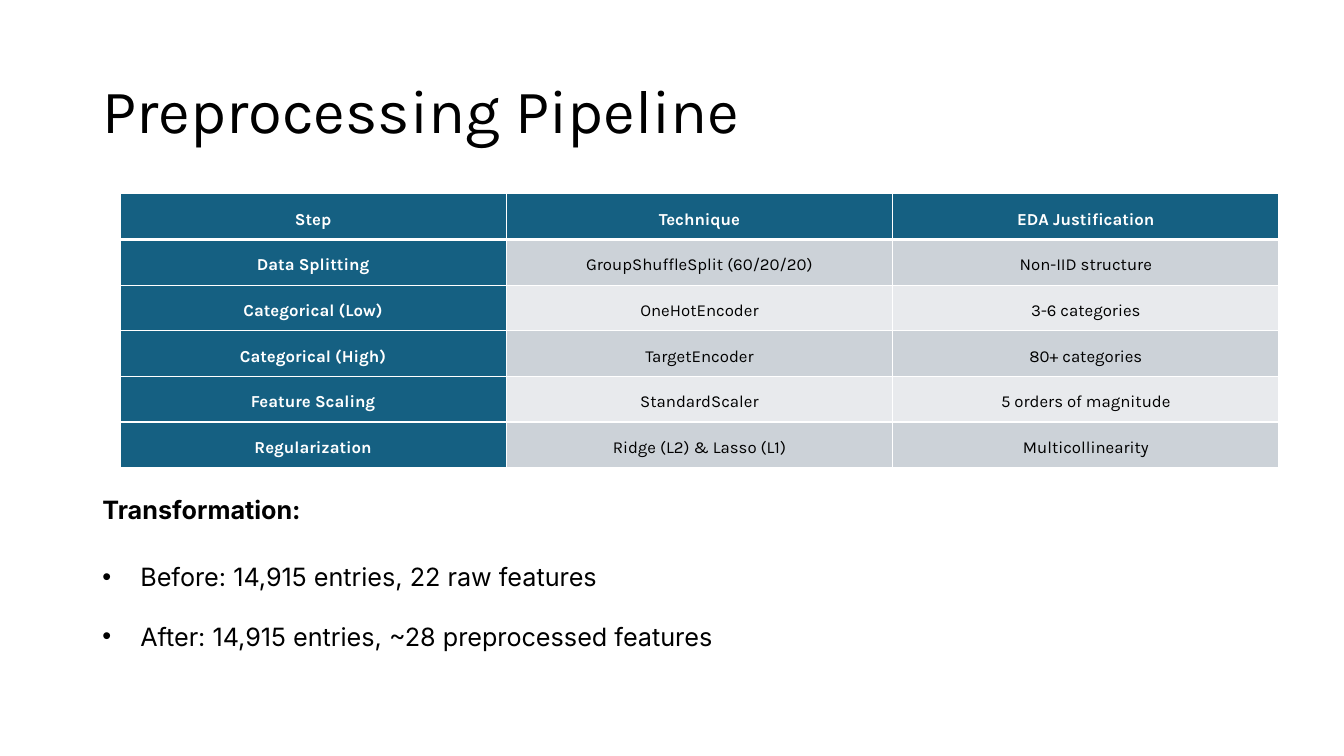
from dataclasses import dataclass

from lxml import etree
from pptx import Presentation
from pptx.dml.color import RGBColor
from pptx.enum.text import MSO_ANCHOR, MSO_AUTO_SIZE, PP_ALIGN
from pptx.oxml.ns import qn
from pptx.util import Pt

LEFT, CENTER = PP_ALIGN.LEFT, PP_ALIGN.CENTER
TOP, MIDDLE = MSO_ANCHOR.TOP, MSO_ANCHOR.MIDDLE
NO_AUTOFIT, GROW = MSO_AUTO_SIZE.NONE, MSO_AUTO_SIZE.SHAPE_TO_FIT_TEXT


@dataclass(frozen=True)
class Theme:
    ink: str = "000000"
    white: str = "FFFFFF"
    header: str = "156082"
    bands: tuple[str, str] = ("CCD2D8", "E8EAED")
    heading_font: str = "Karla"
    body_font: str = "Inter"
    title_size: float = 44
    body_size: float = 18
    table_size: float = 12
    border: float = 1
    header_border: float = 3


@dataclass(frozen=True)
class Box:
    left: float
    top: float
    width: float
    height: float


@dataclass(frozen=True)
class Step:
    name: str
    technique: str
    justification: str


THEME = Theme()
TITLE_BOX = Box(66, 28.8, 828, 104.4)
BODY_BOX = Box(66, 338.4, 480, 128.2)
TABLE_BOX = Box(85.7, 138.5, 828, 195.6)
CELL_MARGIN_X, CELL_MARGIN_Y = 8, 4.3
BULLET_INDENT = 27

STEPS = [
    Step("Step", "Technique", "EDA Justification"),
    Step("Data Splitting", "GroupShuffleSplit (60/20/20)", "Non-IID structure"),
    Step("Categorical (Low)", "OneHotEncoder", "3-6 categories"),
    Step("Categorical (High)", "TargetEncoder", "80+ categories"),
    Step("Feature Scaling", "StandardScaler", "5 orders of magnitude"),
    Step("Regularization", "Ridge (L2) & Lasso (L1)", "Multicollinearity"),
]
TRANSFORMATIONS = [
    "Before: 14,915 entries, 22 raw features",
    "After: 14,915 entries, ~28 preprocessed features",
]


def write(paragraph, text: str, *, font: str, size: float, color: str = THEME.ink,
          bold: bool = False, align=LEFT, line_spacing: float = 1.5,
          before: float = 0, after: float = 0) -> None:
    paragraph.alignment = align
    paragraph.line_spacing = line_spacing
    paragraph.space_before = Pt(before)
    paragraph.space_after = Pt(after)
    run = paragraph.add_run()
    run.text = text
    run.font.name = font
    run.font.size = Pt(size)
    run.font.bold = bold
    run.font.color.rgb = RGBColor.from_string(color)


def set_bullet(paragraph, bullet: str = "") -> None:
    """Give the paragraph a hanging bullet, or none if the bullet is empty."""
    properties = paragraph._p.get_or_add_pPr()
    indent = Pt(BULLET_INDENT) if bullet else 0
    properties.set("marL", str(indent))
    properties.set("indent", str(-indent))
    if bullet:
        etree.SubElement(properties, qn("a:buFont"), typeface="Arial")
        etree.SubElement(properties, qn("a:buChar"), char=bullet)
    else:
        etree.SubElement(properties, qn("a:buNone"))


def set_borders(cell, widths: dict[str, float]) -> None:
    """Draw white borders; widths maps L, R, T and B, in that order, to points."""
    properties = cell._tc.get_or_add_tcPr()
    for position, (side, width) in enumerate(widths.items()):
        line = etree.Element(qn(f"a:ln{side}"), w=str(Pt(width)))
        fill = etree.SubElement(line, qn("a:solidFill"))
        etree.SubElement(fill, qn("a:srgbClr"), val=THEME.white)
        properties.insert(position, line)


def place(shape, box: Box, anchor, auto_size) -> None:
    shape.left, shape.top = Pt(box.left), Pt(box.top)
    shape.width, shape.height = Pt(box.width), Pt(box.height)
    frame = shape.text_frame
    frame.word_wrap = True
    frame.auto_size = auto_size
    frame.vertical_anchor = anchor


def add_title(slide) -> None:
    title = slide.shapes.title
    place(title, TITLE_BOX, MIDDLE, NO_AUTOFIT)
    write(title.text_frame.paragraphs[0], "Preprocessing Pipeline",
          font=THEME.heading_font, size=THEME.title_size, line_spacing=0.9)


def add_transformation(slide) -> None:
    body = slide.placeholders[1]
    place(body, BODY_BOX, TOP, GROW)
    heading = body.text_frame.paragraphs[0]
    write(heading, "Transformation:", font=THEME.body_font, size=THEME.body_size,
          bold=True, after=10.5)
    set_bullet(heading)
    for text in TRANSFORMATIONS:
        paragraph = body.text_frame.add_paragraph()
        write(paragraph, text, font=THEME.body_font, size=THEME.body_size,
              before=5.2, after=5.2)
        set_bullet(paragraph, "•")


def format_cell(cell, text: str, row: int, column: int) -> None:
    is_header = row == 0 or column == 0
    cell.fill.solid()
    cell.fill.fore_color.rgb = RGBColor.from_string(
        THEME.header if is_header else THEME.bands[(row - 1) % 2])
    cell.margin_left = cell.margin_right = Pt(CELL_MARGIN_X)
    cell.margin_top = cell.margin_bottom = Pt(CELL_MARGIN_Y)
    cell.vertical_anchor = TOP
    write(cell.text_frame.paragraphs[0], text, font=THEME.heading_font,
          size=THEME.table_size, color=THEME.white if is_header else THEME.ink,
          bold=is_header, align=CENTER, after=6)
    set_borders(cell, {
        "L": THEME.border,
        "R": THEME.border,
        "T": THEME.header_border if row == 1 else THEME.border,
        "B": THEME.header_border if row == 0 else THEME.border,
    })


def add_steps_table(slide) -> None:
    box = TABLE_BOX
    table = slide.shapes.add_table(len(STEPS), 3, Pt(box.left), Pt(box.top),
                                   Pt(box.width), Pt(box.height)).table
    table.first_col = True
    for row, step in enumerate(STEPS):
        texts = (step.name, step.technique, step.justification)
        for column, text in enumerate(texts):
            format_cell(table.cell(row, column), text, row, column)


def main() -> None:
    presentation = Presentation()
    presentation.slide_width, presentation.slide_height = Pt(960), Pt(540)
    slide = presentation.slides.add_slide(presentation.slide_layouts[1])
    add_title(slide)
    add_transformation(slide)
    add_steps_table(slide)
    presentation.save("out.pptx")


if __name__ == "__main__":
    main()
